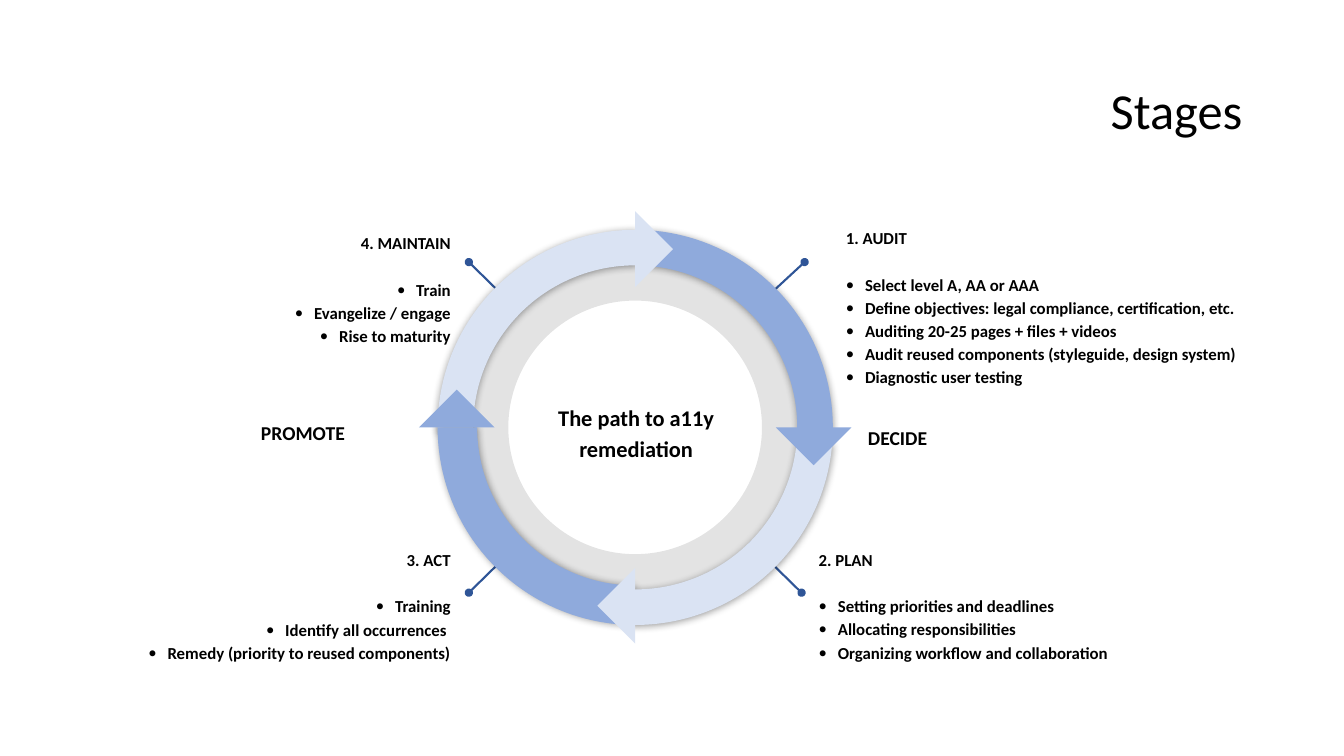
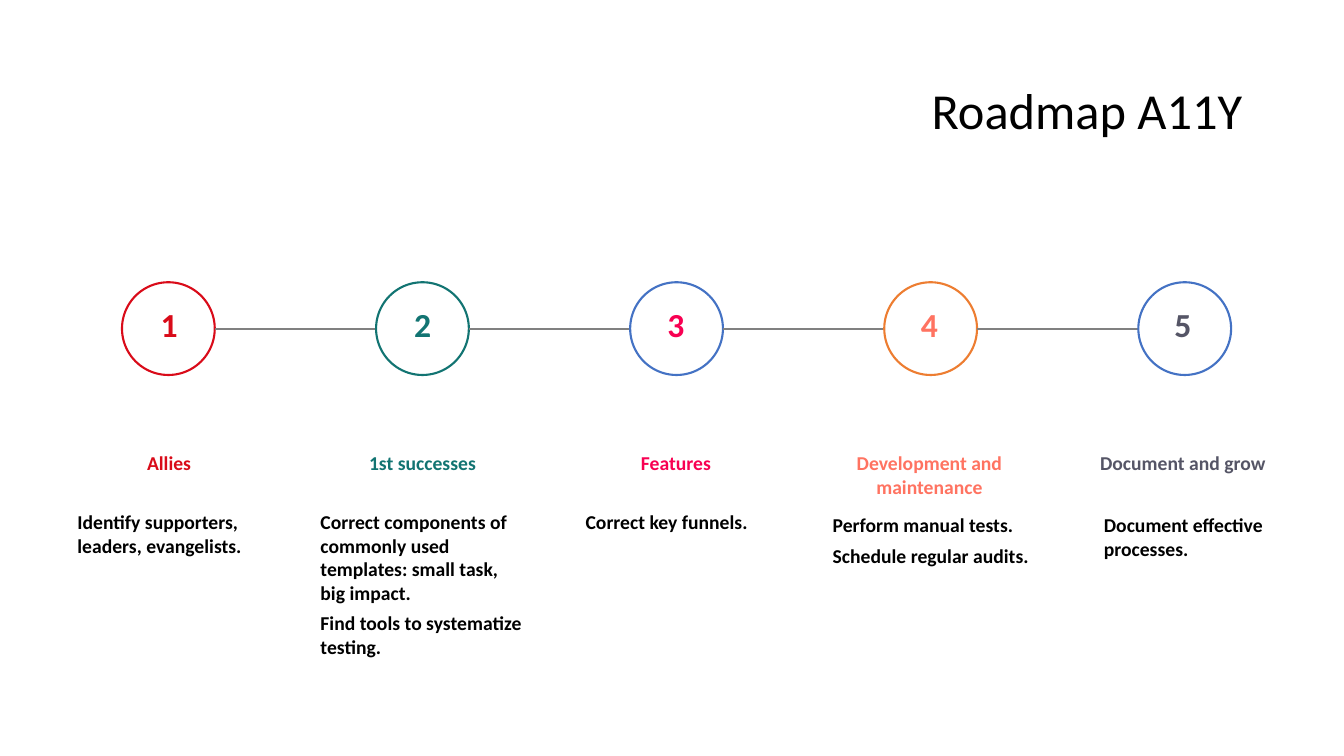
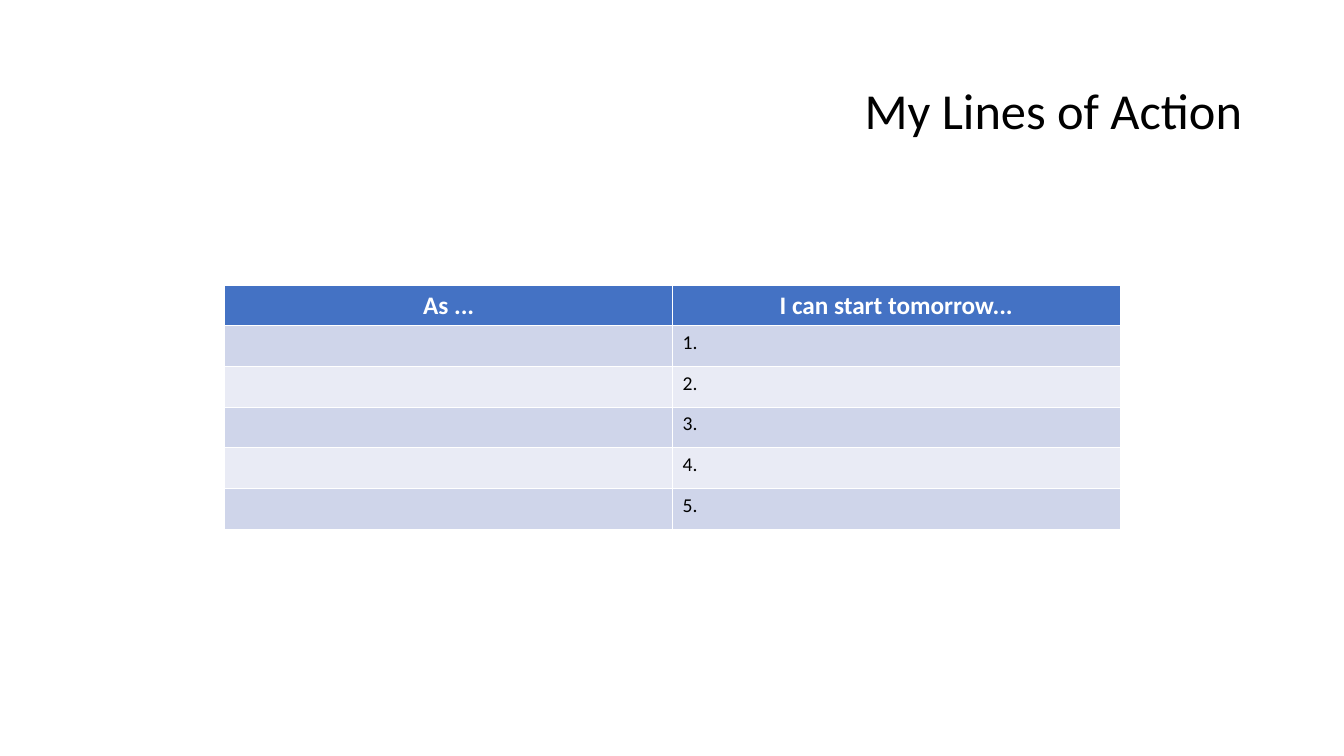
from collections import namedtuple
from dataclasses import dataclass
from math import cos, radians, sin

from lxml import etree
from pptx import Presentation
from pptx.dml.color import RGBColor
from pptx.enum.shapes import MSO_CONNECTOR, MSO_SHAPE
from pptx.enum.text import MSO_ANCHOR, PP_ALIGN
from pptx.oxml.ns import qn
from pptx.util import Inches, Pt

LEFT, CENTER, RIGHT = PP_ALIGN.LEFT, PP_ALIGN.CENTER, PP_ALIGN.RIGHT
TOP, MIDDLE = MSO_ANCHOR.TOP, MSO_ANCHOR.MIDDLE
DONUT, ARC = MSO_SHAPE.DONUT, MSO_SHAPE.BLOCK_ARC
TRIANGLE, OVAL = MSO_SHAPE.RIGHT_TRIANGLE, MSO_SHAPE.OVAL
STRAIGHT = MSO_CONNECTOR.STRAIGHT

Box = namedtuple("Box", "left top width height")
Callout = namedtuple("Callout", "side level reach box heading items")
Arc = namedtuple("Arc", "rotation flipped start end thickness color shadow_angle")
Step = namedtuple("Step", "name color ring detail_box details")


@dataclass(frozen=True)
class Theme:
    font: str = "Calibri"
    ink: str = "000000"
    white: str = "FFFFFF"
    blue: str = "4472C4"
    mid_blue: str = "8FAADC"
    pale_blue: str = "DAE3F3"
    dark_blue: str = "2F5597"
    orange: str = "ED7D31"
    red: str = "D90B19"
    teal: str = "127472"
    pink: str = "F80052"
    coral: str = "FF7361"
    slate: str = "555566"
    gray: str = "808080"
    band_dark: str = "CFD5EA"
    band_light: str = "E9EBF5"
    title: int = 36
    number: int = 24
    header: int = 18
    center: int = 16
    body: int = 14
    small: int = 12
    rule: float = 1.5
    border: float = 0.91


THEME = Theme()
TITLE_BOX = Box(0.92, 0.4, 11.5, 1.45)

CALLOUTS = [
    Callout(-1, -1, 1.65, Box(2.42, 2.15, 2.18, 1.21), "4. MAINTAIN",
            ["Train", "Evangelize / engage", "Rise to maturity"]),
    Callout(-1, 1, 1.65, Box(0.54, 5.29, 4.06, 0.98), "3. ACT",
            ["Training", "Identify all occurrences ",
             "Remedy (priority to reused components)"]),
    Callout(1, 1, 1.65, Box(7.99, 5.29, 3.56, 1.33), "2. PLAN",
            ["Setting priorities and deadlines", "Allocating responsibilities",
             "Organizing workflow and collaboration"]),
    Callout(1, -1, 1.68, Box(8.26, 2.1, 4.47, 1.28), "1. AUDIT",
            ["Select level A, AA or AAA",
             "Define objectives: legal compliance, certification, etc.",
             "Auditing 20-25 pages + files + videos",
             "Audit reused components (styleguide, design system)",
             "Diagnostic user testing"]),
]
ARCS = [
    Arc(330, True, 143.49, 198.72, 0.09, THEME.pale_blue, 90),
    Arc(30, False, 145.46, 199.02, 0.09, THEME.mid_blue, 90),
    Arc(150, False, 180.42, 17.99, 0.1, THEME.mid_blue, 0),
    Arc(210, True, 179.67, 15.3, 0.09, THEME.pale_blue, 90),
]
ARROWHEADS = [
    (180, 135, THEME.mid_blue),
    (0, 315, THEME.mid_blue),
    (90, 45, THEME.pale_blue),
    (270, 225, THEME.pale_blue),
]
STEPS = [
    Step("Allies", THEME.red, THEME.red, Box(0.67, 5.01, 2, 1.06),
         ["Identify supporters, leaders, evangelists."]),
    Step("1st successes", THEME.teal, THEME.teal, Box(3.08, 5.01, 2.21, 2.17),
         ["Correct components of commonly used templates: small task, big impact.",
          "Find tools to systematize testing."]),
    Step("Features", THEME.pink, THEME.blue, Box(5.71, 5.01, 2, 1.06),
         ["Correct key funnels."]),
    Step("Development and maintenance", THEME.coral, THEME.orange,
         Box(8.16, 5.04, 2.15, 1.06),
         ["Perform manual tests.", "Schedule regular audits."]),
    Step("Document and grow", THEME.slate, THEME.blue, Box(10.85, 5.04, 2, 1.06),
         ["Document effective processes."]),
]


def emu(box):
    return [Inches(length) for length in box]


def write(frame, text, *, size, color=THEME.ink, bold=True, align=LEFT,
          spacing=None, before=None, after=None, bullet=False):
    first = frame.paragraphs[0]
    paragraph = frame.add_paragraph() if first.runs else first
    if bullet:
        properties = paragraph._p.get_or_add_pPr()
        properties.set("marL", str(Inches(0.19)))
        properties.set("indent", str(Inches(-0.19)))
        etree.SubElement(properties, qn("a:buFont")).set("typeface", THEME.font)
        etree.SubElement(properties, qn("a:buChar")).set("char", "•")
    paragraph.alignment = align
    if spacing:
        paragraph.line_spacing = spacing
    if before:
        paragraph.space_before = Pt(before)
    if after:
        paragraph.space_after = Pt(after)
    run = paragraph.add_run()
    run.text = text
    run.font.name = THEME.font
    run.font.size = Pt(size)
    run.font.bold = bold
    run.font.color.rgb = RGBColor.from_string(color)


def add_frame(slide, box, anchor=TOP, inset=None):
    frame = slide.shapes.add_textbox(*emu(box)).text_frame
    frame.word_wrap = True
    frame.vertical_anchor = anchor
    if inset:
        frame.margin_left = frame.margin_right = Inches(inset)
        frame.margin_top = frame.margin_bottom = Inches(inset)
    return frame


def add_figure(slide, kind, box, fill=None, line=None, rotation=0):
    figure = slide.shapes.add_shape(kind, *emu(box))
    figure.rotation = rotation
    if fill:
        figure.fill.solid()
        figure.fill.fore_color.rgb = RGBColor.from_string(fill)
    else:
        figure.fill.background()
    if line:
        figure.line.color.rgb = RGBColor.from_string(line)
        figure.line.width = Pt(THEME.rule)
    else:
        figure.line.fill.background()
    figure.shadow.inherit = False
    return figure


def add_line(slide, start, end, color, dot=False):
    line = slide.shapes.add_connector(STRAIGHT, *emu(start + end))
    line.line.color.rgb = RGBColor.from_string(color)
    line.line.width = Pt(THEME.rule)
    properties = line._element.spPr
    if dot:
        etree.SubElement(properties.find(qn("a:ln")), qn("a:headEnd")).set("type", "oval")
    etree.SubElement(properties, qn("a:effectLst"))


def add_alpha(color, percent):
    etree.SubElement(color, qn("a:alpha")).set("val", str(percent * 1000))


def cast_shadow(figure, angle):
    effects = figure._element.spPr.find(qn("a:effectLst"))
    shadow = etree.SubElement(effects, qn("a:outerShdw"))
    for key, value in (("blurRad", Pt(5.6)), ("dist", Pt(0.8)), ("dir", angle * 60000)):
        shadow.set(key, str(value))
    color = etree.SubElement(shadow, qn("a:srgbClr"))
    color.set("val", THEME.ink)
    add_alpha(color, 40)


def add_title(slide, text):
    write(add_frame(slide, TITLE_BOX, MIDDLE), text, size=THEME.title,
          bold=False, align=RIGHT, spacing=0.9)


def add_callout(slide, callout, center_x, center_y):
    tip = (center_x + callout.side * callout.reach, center_y + callout.level * 1.64)
    foot = (center_x + callout.side * 1.14, center_y + callout.level * 1.14)
    add_line(slide, tip, foot, THEME.dark_blue, dot=True)
    frame = add_frame(slide, callout.box, inset=0.13)
    layout = dict(size=THEME.small, spacing=1.15, align=RIGHT if callout.side < 0 else LEFT)
    write(frame, callout.heading, after=16.8, **layout)
    for item in callout.items:
        write(frame, item, bullet=True, **layout)


def add_arc(slide, arc, box):
    band = add_figure(slide, ARC, box, arc.color, rotation=arc.rotation)
    if arc.flipped:
        band._element.spPr.find(qn("a:xfrm")).set("flipH", "1")
    band.adjustments[0] = arc.start
    band.adjustments[1] = arc.end
    band.adjustments[2] = arc.thickness
    cast_shadow(band, arc.shadow_angle)


def add_cycle(slide, box):
    center_x = box.left + box.width / 2
    center_y = box.top + box.height / 2
    track_box = Box(box.left + 0.11, box.top + 0.11, box.width - 0.22, box.height - 0.22)
    track = add_figure(slide, DONUT, track_box, THEME.ink)
    track.adjustments[0] = 0.16
    add_alpha(track._element.spPr.find(qn("a:solidFill"))[0], 11)
    for callout in CALLOUTS:
        add_callout(slide, callout, center_x, center_y)
    hub = add_frame(slide, Box(center_x - 1.04, center_y - 0.55, 2.1, 1.17), MIDDLE, 0.13)
    write(hub, "The path to a11y remediation", size=THEME.center, align=CENTER, spacing=1.15)
    for arc in ARCS:
        add_arc(slide, arc, box)
    head, radius = 0.53, 1.77
    for angle, rotation, color in ARROWHEADS:
        head_box = Box(center_x + radius * cos(radians(angle)) - head / 2,
                       center_y + radius * sin(radians(angle)) - head / 2, head, head)
        add_figure(slide, TRIANGLE, head_box, color, rotation=rotation)
    for label, label_box in (
        ("DECIDE", Box(center_x + 2.21, center_y - 0.11, 1.41, 0.4)),
        ("PROMOTE", Box(center_x - 3.81, center_y - 0.16, 1.67, 0.4)),
    ):
        write(add_frame(slide, label_box, inset=0.1), label, size=THEME.body)


def add_grid(slide, box, heights, columns):
    table = slide.shapes.add_table(len(heights), columns, *emu(box)).table
    table.first_row = table.horz_banding = False
    for row, height in zip(table.rows, heights):
        row.height = Inches(height)
    for column in table.columns:
        column.width = Inches(box.width / columns)
    return table


def add_roadmap(slide, box):
    table = add_grid(slide, box, (2.39, 0.98, 0.98, 0.33), len(STEPS))
    for cell in table.iter_cells():
        cell.fill.background()
    for index, step in enumerate(STEPS):
        number, name = table.cell(0, index), table.cell(1, index)
        number.vertical_anchor = MIDDLE
        write(number.text_frame, str(index + 1), size=THEME.number,
              color=step.color, align=CENTER)
        write(name.text_frame, step.name, size=THEME.body, color=step.color, align=CENTER)

    diameter, pitch = 0.92, 2.52
    ring_top = box.top + 0.76
    for index, step in enumerate(STEPS):
        ring_left = box.left + 0.79 + index * pitch
        add_figure(slide, OVAL, Box(ring_left, ring_top, diameter, diameter), line=step.ring)
        if index < len(STEPS) - 1:
            middle = ring_top + diameter / 2
            add_line(slide, (ring_left + diameter, middle), (ring_left + pitch, middle), THEME.gray)
        frame = add_frame(slide, step.detail_box)
        for order, detail in enumerate(step.details):
            write(frame, detail, size=THEME.body, before=5 if order else None)


def paint_cell(cell, color):
    properties = cell._tc.get_or_add_tcPr()
    for side in ("a:lnL", "a:lnR", "a:lnT", "a:lnB"):
        edge = etree.SubElement(properties, qn(side))
        edge.set("w", str(Pt(THEME.border)))
        fill = etree.SubElement(edge, qn("a:solidFill"))
        etree.SubElement(fill, qn("a:srgbClr")).set("val", THEME.white)
    cell.fill.solid()
    cell.fill.fore_color.rgb = RGBColor.from_string(color)


def add_actions(slide, box):
    count = 6
    table = add_grid(slide, box, [box.height / count] * count, 2)
    for column, heading in enumerate(("As ...", "I can start tomorrow...")):
        cell = table.cell(0, column)
        paint_cell(cell, THEME.blue)
        write(cell.text_frame, heading, size=THEME.header, color=THEME.white, align=CENTER)
    for row in range(1, count):
        for column in range(2):
            paint_cell(table.cell(row, column), THEME.band_dark if row % 2 else THEME.band_light)
        write(table.cell(row, 1).text_frame, f"{row}.", size=THEME.body, bold=False)


def main():
    deck = Presentation()
    deck.slide_width, deck.slide_height = Inches(13.33), Inches(7.5)
    for title, add_content, box in (
        ("Stages", add_cycle, Box(4.34, 2.28, 3.92, 3.92)),
        ("Roadmap A11Y", add_roadmap, Box(0.42, 2.04, 12.57, 4.68)),
        ("My Lines of Action", add_actions, Box(2.23, 2.83, 8.88, 2.42)),
    ):
        slide = deck.slides.add_slide(deck.slide_layouts[6])
        add_title(slide, title)
        add_content(slide, box)
    deck.save("out.pptx")


if __name__ == "__main__":
    main()
